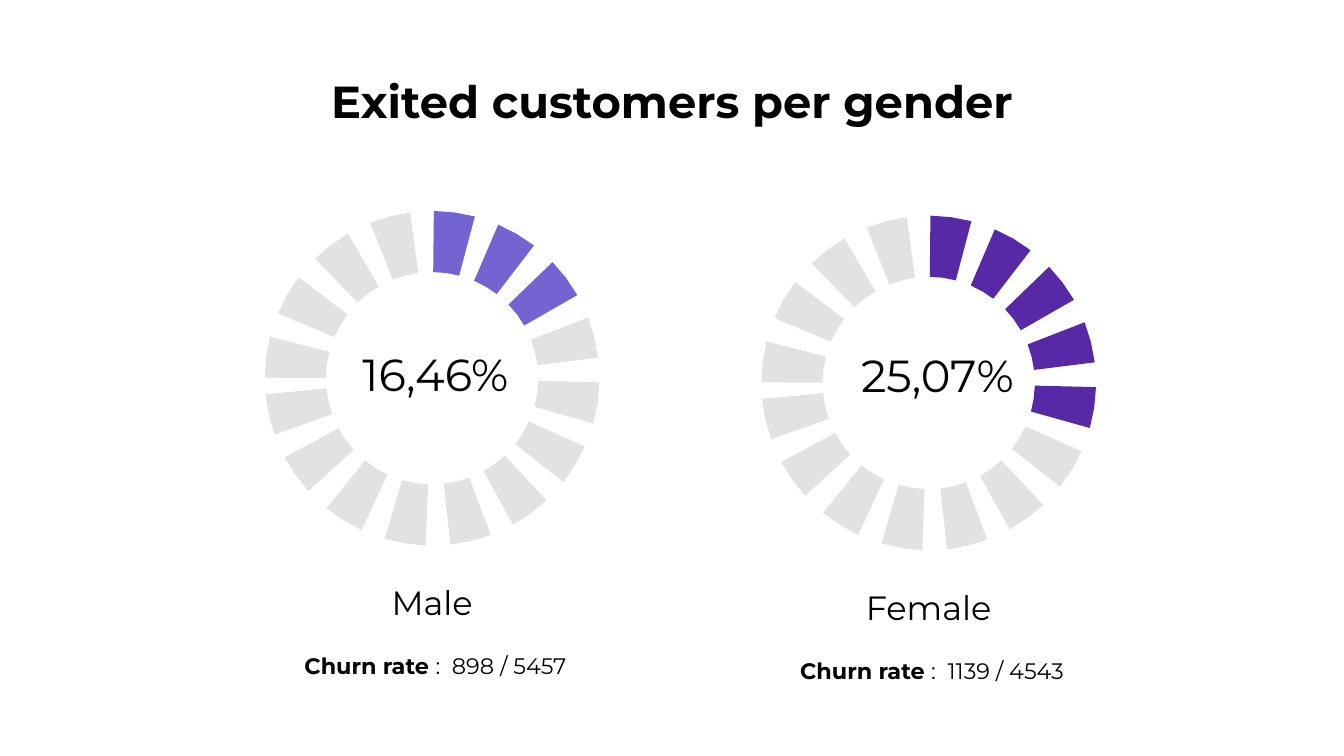
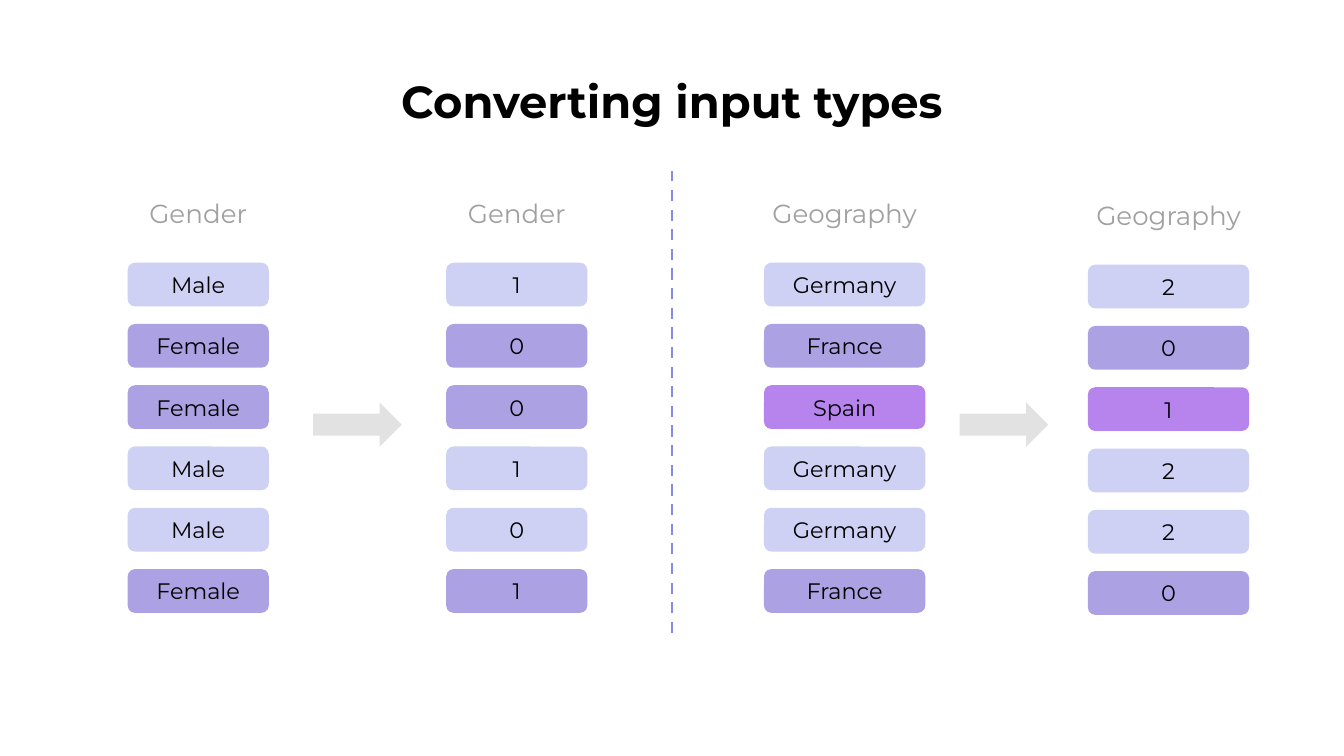
from math import cos, radians, sin

from lxml.etree import SubElement
from pptx import Presentation
from pptx.dml.color import RGBColor as Rgb
from pptx.enum.dml import MSO_LINE as Dash
from pptx.enum.shapes import MSO_CONNECTOR as Link, MSO_SHAPE as Kind
from pptx.enum.text import MSO_ANCHOR as Anchor, MSO_AUTO_SIZE as Fit, PP_ALIGN as Align
from pptx.oxml.ns import qn
from pptx.util import Pt

SCALE = 4572
FONT = "Montserrat"
HEX = {
    "ink": "000000",
    "head": "A0A0A0",
    "rest": "E2E2E2",
    "male": "7464D1",
    "female": "5729A6",
    "split": "858BE3",
    "pale": "CED1F4",
    "mid": "ACA2E3",
    "vivid": "B784EE",
}
PARTS, START, STEP, SWEEP = 16, 0.6, 22.7, 14.2
TURN, SLIP = 12, 2.8
OUTER, INNER = 249, 158
CELL, PITCH = 65, 91.2


def px(n):
    return round(n * SCALE)


def box(*nums):
    return [px(n) for n in nums]


def tint(name):
    return Rgb.from_string(HEX[name])


def write(shape, *runs, size=12, color="ink", bold=(), anchor=Anchor.MIDDLE, inset=(20, 20)):
    frame = shape.text_frame
    frame.word_wrap = True
    frame.auto_size = Fit.NONE
    frame.vertical_anchor = anchor
    frame.margin_left = frame.margin_right = px(inset[0])
    frame.margin_top = frame.margin_bottom = px(inset[1])
    para = frame.paragraphs[0]
    para.alignment = Align.CENTER
    for i, words in enumerate(runs):
        run = para.add_run()
        run.text = words
        font = run.font
        font.name, font.size, font.bold = FONT, Pt(size), i in bold
        font.color.rgb = tint(color)


def label(slide, area, *runs, **style):
    write(slide.shapes.add_textbox(*box(*area)), *runs, **style)


def paint(shape, color):
    shape.shadow.inherit = False
    shape.fill.solid()
    shape.fill.fore_color.rgb = tint(color)
    shape.line.fill.background()


def block(slide, kind, area, color):
    shape = slide.shapes.add_shape(kind, *box(*area))
    paint(shape, color)
    return shape


def start(deck, title):
    slide = deck.slides.add_slide(deck.slide_layouts[5])
    head = slide.shapes.title
    head.left, head.top, head.width, head.height = box(99, 90, 1802, 122)
    write(head, title, size=24, bold=(0,), anchor=Anchor.TOP)
    return slide


def ring(slide, x, y, lit, color):
    group = slide.shapes.add_group_shape()

    def spot(radius, angle):
        turn = radians(angle)
        return px(x + OUTER + radius * sin(turn)), px(y + OUTER - radius * cos(turn))

    for i in range(PARTS):
        first = START + i * STEP - (SLIP if i >= TURN else 0)
        arc = [first, first + SWEEP / 2, first + SWEEP]
        dots = [spot(OUTER, a) for a in arc] + [spot(INNER, a) for a in reversed(arc)]
        pen = group.shapes.build_freeform(*dots[0], scale=1.0)
        pen.add_line_segments(dots[1:], close=True)
        paint(pen.convert_to_shape(), color if i < lit else "rest")


def gauge(slide, x, y, name, share, ratio, lit, color, shift=(0, 0)):
    ring(slide, x, y, lit, color)
    label(slide, (x + 88 + shift[0], y + 166 + shift[1], 332, 152), share, size=24)
    label(slide, (x + 31, y + 550, 436, 82), name, size=18, anchor=Anchor.BOTTOM)
    label(slide, (x + 31, y + 637, 446, 82), "Churn rate ", ":  " + ratio,
          bold=(0,), anchor=Anchor.TOP)


def column(slide, x, y, wide, head, cells, tones, pad=0):
    label(slide, (x - pad, y, wide + 2 * pad, 50), head, size=14, color="head")
    for i, (words, tone) in enumerate(zip(cells, tones)):
        cell = block(slide, Kind.ROUNDED_RECTANGLE, (x, y + 99 + i * PITCH, wide, CELL), tone)
        write(cell, words, inset=(14, 8))


def arrow(slide, x, y):
    block(slide, Kind.RIGHT_ARROW, (x, y, 132, 66), "rest")


def split(slide, x, top, end):
    line = slide.shapes.add_connector(Link.STRAIGHT, *box(x, end, x, top))
    line.line.color.rgb = tint("split")
    line.line.width = Pt(1.5)
    line.line.dash_style = Dash.DASH
    SubElement(line._element.spPr, qn("a:effectLst"))


def churn(deck):
    slide = start(deck, "Exited customers per gender")
    gauge(slide, 394, 314, "Male", "16,46%", "898 / 5457", 3, "male")
    gauge(slide, 1133, 321, "Female", "25,07%", "1139 / 4543", 5, "female", shift=(8, -6))


def convert(deck):
    slide = start(deck, "Converting input types")
    tones = ["pale", "mid", "mid", "pale", "pale", "mid"]
    column(slide, 190, 292, 210, "Gender",
           ["Male", "Female", "Female", "Male", "Male", "Female"], tones)
    arrow(slide, 466, 599)
    column(slide, 664, 292, 210, "Gender", "100101", tones)
    split(slide, 1000, 254, 942)
    tones[2] = "vivid"
    column(slide, 1137, 292, 240, "Geography",
           ["Germany", "France", "Spain", "Germany", "Germany", "France"], tones, pad=24)
    arrow(slide, 1428, 599)
    column(slide, 1619, 295, 240, "Geography", "201220", tones, pad=24)


def main():
    deck = Presentation()
    deck.slide_width, deck.slide_height = box(2000, 1125)
    churn(deck)
    convert(deck)
    deck.save("out.pptx")


if __name__ == "__main__":
    main()
